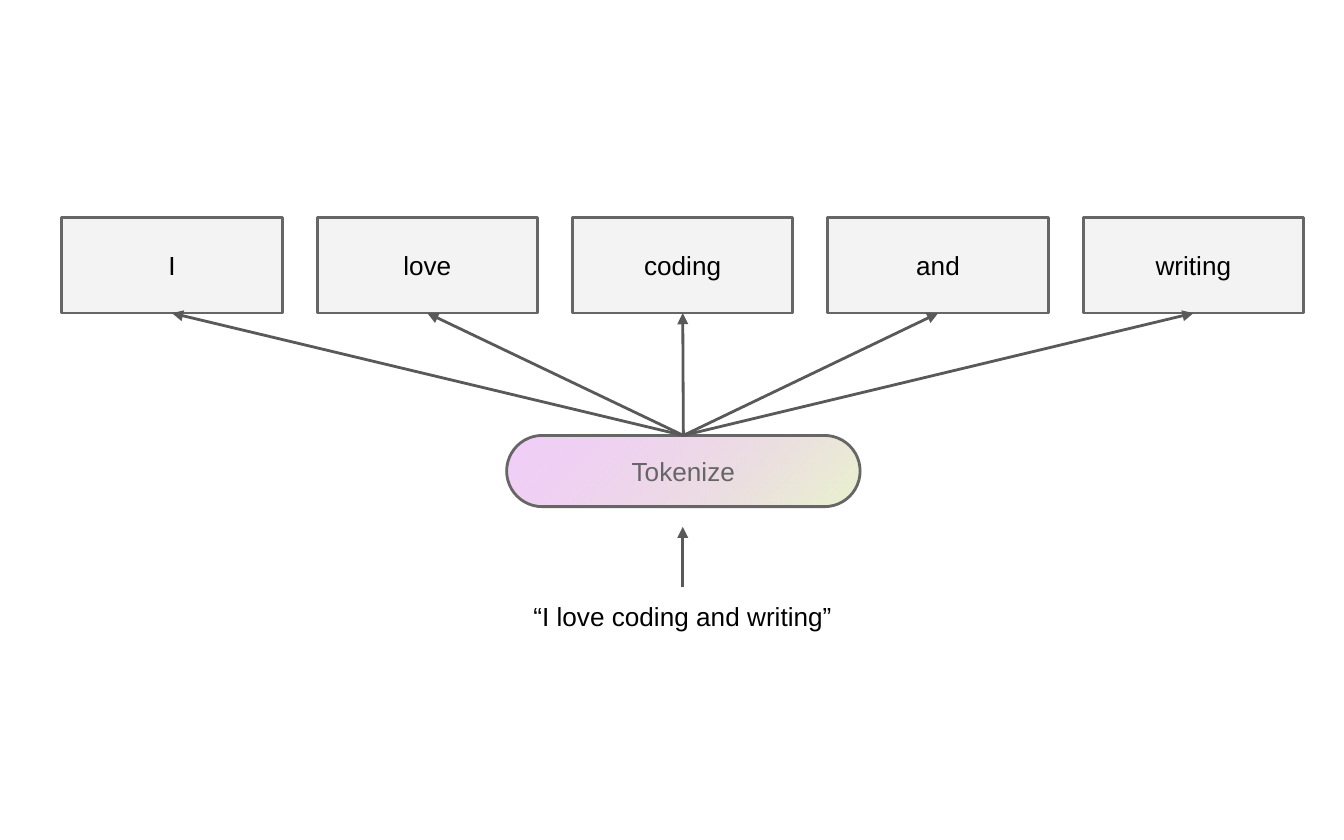
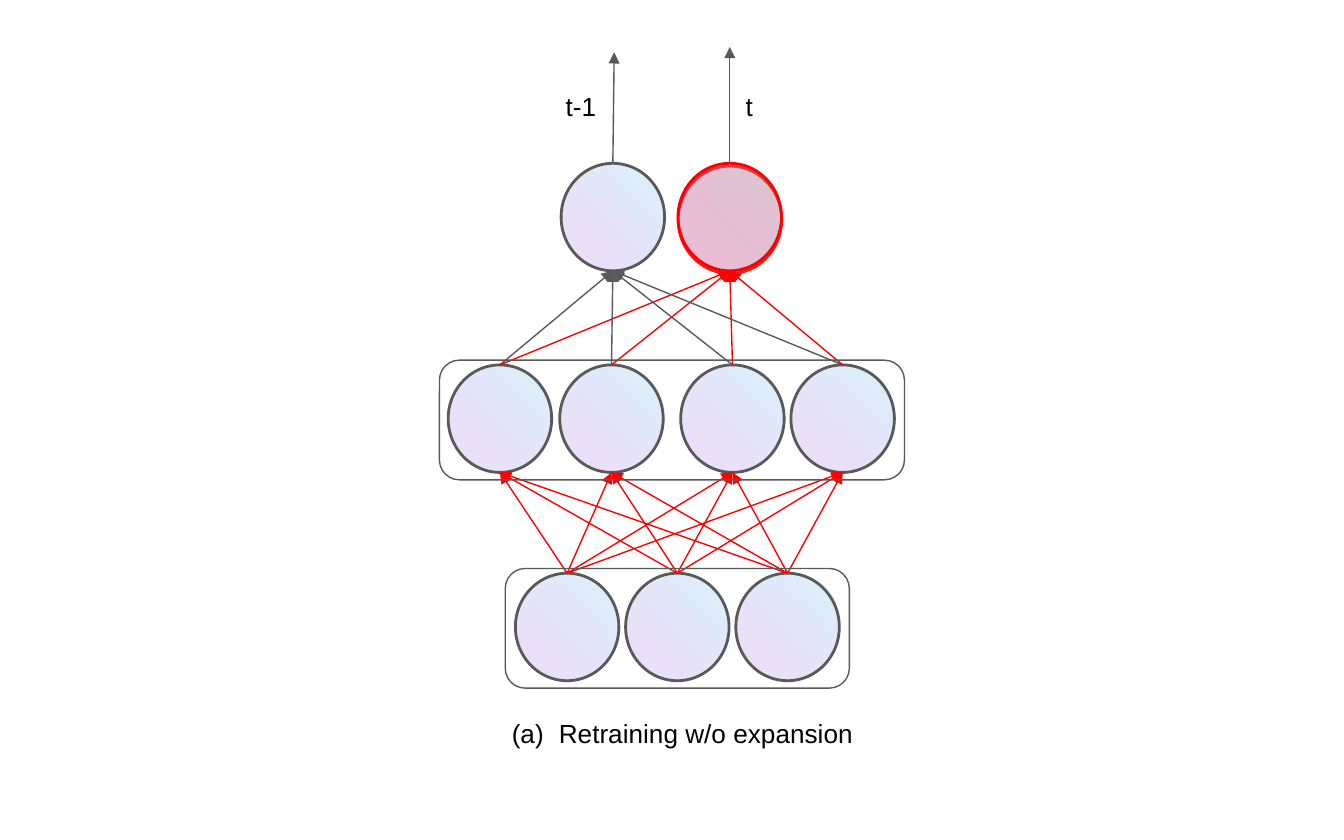
from itertools import product

from lxml.etree import SubElement
from pptx import Presentation
from pptx.dml.color import RGBColor
from pptx.enum.shapes import MSO_CONNECTOR, MSO_SHAPE
from pptx.enum.text import MSO_ANCHOR, MSO_AUTO_SIZE, PP_ALIGN
from pptx.oxml.ns import qn
from pptx.util import Pt

EMU_PER_PX = 9144  # 100 px to the inch
FONT = "Arial"
BLACK = RGBColor(0x00, 0x00, 0x00)
GRAY = RGBColor(0x66, 0x66, 0x66)
DARK_GRAY = RGBColor(0x59, 0x59, 0x59)
LIGHT_GRAY = RGBColor(0xF3, 0xF3, 0xF3)
RED = RGBColor(0xFF, 0x00, 0x00)
# Gradients: (colour, opacity in percent) for each end
PILL_GRADIENT = ((RGBColor(0xE0, 0xED, 0xBA), 71), (RGBColor(0xDE, 0x87, 0xF1), 40))
NEURON_GRADIENT = ((RGBColor(0x69, 0xD4, 0xF4), 26), (RGBColor(0x9F, 0x39, 0xD5), 17))
THICK, THIN = 1.5, 0.75
NEURON_LENGTH, NEURON_BREADTH = 80, 77


def px(*lengths):
    return [int(length * EMU_PER_PX) for length in lengths]


class Deck:
    def __init__(self, width, height):
        self.presentation = Presentation()
        self.presentation.slide_width, self.presentation.slide_height = px(width, height)
        self.slide = None

    def new_slide(self):
        self.slide = self.presentation.slides.add_slide(self.presentation.slide_layouts[6])

    def label(self, shape, text, color=BLACK, align=PP_ALIGN.CENTER, anchor=MSO_ANCHOR.MIDDLE):
        frame = shape.text_frame
        frame.word_wrap = True
        frame.vertical_anchor = anchor
        (frame.margin_left, frame.margin_top,
         frame.margin_right, frame.margin_bottom) = px(10, 10, 10, 10)
        paragraph = frame.paragraphs[0]
        paragraph.alignment = align
        run = paragraph.add_run()
        run.text = text
        run.font.name, run.font.size, run.font.color.rgb = FONT, Pt(14), color
        return paragraph

    def shape(self, kind, box, line, weight, fill=None, gradient=None):
        shape = self.slide.shapes.add_shape(kind, *px(*box))
        shape.shadow.inherit = False
        if gradient:
            shape.fill.gradient()
            shape.fill.gradient_angle = 135
            for stop, (color, _) in zip(shape.fill.gradient_stops, gradient):
                stop.color.rgb = color
            colors = shape.element.spPr.iter(qn("a:srgbClr"))
            for color, (_, opacity) in zip(list(colors), gradient):
                SubElement(color, qn("a:alpha"), val=str(opacity * 1000))
        elif fill:
            shape.fill.solid()
            shape.fill.fore_color.rgb = fill
        else:
            shape.fill.background()
        shape.line.color.rgb = line
        shape.line.width = Pt(weight)
        return shape

    def text(self, box, text, align=PP_ALIGN.LEFT, grow=True):
        text_box = self.slide.shapes.add_textbox(*px(*box))
        paragraph = self.label(text_box, text, align=align, anchor=MSO_ANCHOR.TOP)
        if grow:
            text_box.text_frame.auto_size = MSO_AUTO_SIZE.SHAPE_TO_FIT_TEXT
        return text_box, paragraph

    def caption(self, box, text):
        """A line lettered (a) automatically."""
        _, paragraph = self.text(box, text)
        margin, indent = px(50, -35)
        properties = paragraph._p.get_or_add_pPr()
        properties.set("marL", str(margin))
        properties.set("indent", str(indent))
        bullet_color = SubElement(properties, qn("a:buClr"))
        SubElement(bullet_color, qn("a:srgbClr"), val=str(BLACK))
        SubElement(properties, qn("a:buFont"), typeface=FONT)
        SubElement(properties, qn("a:buAutoNum"), type="alphaLcParenBoth")

    def arrow(self, start, end, color=DARK_GRAY, weight=THIN, source=None, target=None):
        """source and target are (shape, side) pairs to join."""
        connector = self.slide.shapes.add_connector(MSO_CONNECTOR.STRAIGHT, *px(*start, *end))
        if source:
            connector.begin_connect(*source)
        if target:
            connector.end_connect(*target)
        connector.line.color.rgb = color
        connector.line.width = Pt(weight)
        properties = connector.element.spPr
        SubElement(properties.find(qn("a:ln")), qn("a:tailEnd"), type="triangle")
        SubElement(properties, qn("a:effectLst"))

    def neuron(self, center, line=DARK_GRAY):
        x, y = center
        box = (x - NEURON_LENGTH / 2, y - NEURON_BREADTH / 2, NEURON_LENGTH, NEURON_BREADTH)
        neuron = self.shape(MSO_SHAPE.OVAL, box, line, THICK, gradient=NEURON_GRADIENT)
        neuron.rotation = 270
        return neuron

    def glow(self, shape, color):
        effects = shape.element.spPr.find(qn("a:effectLst"))
        shadow = SubElement(effects, qn("a:outerShdw"), blurRad="0", dist=str(Pt(1.5)),
                            dir=str(85 * 60000), algn="bl", rotWithShape="0")
        shadow_color = SubElement(shadow, qn("a:srgbClr"), val=str(color))
        SubElement(shadow_color, qn("a:alpha"), val="89000")


def tokenize_slide(deck):
    deck.new_slide()
    pill = deck.shape(MSO_SHAPE.ROUNDED_RECTANGLE, (377, 324, 263, 53), GRAY, THICK,
                      gradient=PILL_GRADIENT)
    pill.adjustments[0] = 0.5
    deck.label(pill, "Tokenize", GRAY)

    # One box for each token
    tokens = []
    for index, word in enumerate(("I", "love", "coding", "and", "writing")):
        token = deck.shape(MSO_SHAPE.RECTANGLE, (46 + 190 * index, 162, 164, 71),
                           GRAY, THICK, fill=LIGHT_GRAY)
        deck.label(token, word)
        tokens.append(token)
    for index, token in enumerate(tokens):
        deck.arrow((508, 324), (128 + 190 * index, 233), weight=THICK,
                   source=(pill, 0), target=(token, 2))

    # Input sentence
    sentence, _ = deck.text((380, 437, 256, 46), "“I love coding and writing”",
                            PP_ALIGN.CENTER, grow=False)
    deck.arrow((508, 437), (508, 392), weight=THICK, source=(sentence, 0))


def network_slide(deck):
    deck.new_slide()
    input_y, hidden_y, output_y = 466.5, 311.5, 161.5
    reach = NEURON_LENGTH / 2
    inputs = [422 + 82 * index for index in range(3)]
    hidden = [372, 455, 545, 627]
    # Output x, colour, x and y of the arrow's tip
    outputs = ((456, DARK_GRAY, 457, 39), (543, RED, 543, 35))

    # Neurons
    for x in inputs:
        deck.neuron((x, input_y))
    for x in hidden:
        deck.neuron((x, hidden_y))
    for x, color, _, _ in outputs:
        neuron = deck.neuron((x, output_y), color)
        if color == RED:
            deck.glow(neuron, RED)

    # Connections between layers
    for start, end in product(inputs, hidden):
        deck.arrow((start, input_y - reach), (end, hidden_y + reach), RED)
    for start, (end, color, _, _) in product(hidden, outputs):
        deck.arrow((start, hidden_y - reach), (end, output_y + reach), color)
    for x, _, tip_x, tip_y in outputs:
        deck.arrow((x, output_y - reach), (tip_x, tip_y))

    # Layer frames
    for box in ((327, 268, 346, 89), (376, 423, 256, 89)):
        deck.shape(MSO_SHAPE.ROUNDED_RECTANGLE, box, DARK_GRAY, THIN)

    # Labels
    deck.caption((356, 524, 296, 44), "Retraining w/o expansion")
    deck.text((411, 57, 61, 44), "t-1")
    deck.text((545, 57, 61, 67), "t")


def main():
    deck = Deck(1000, 625)
    tokenize_slide(deck)
    network_slide(deck)
    deck.presentation.save("out.pptx")


if __name__ == "__main__":
    main()
